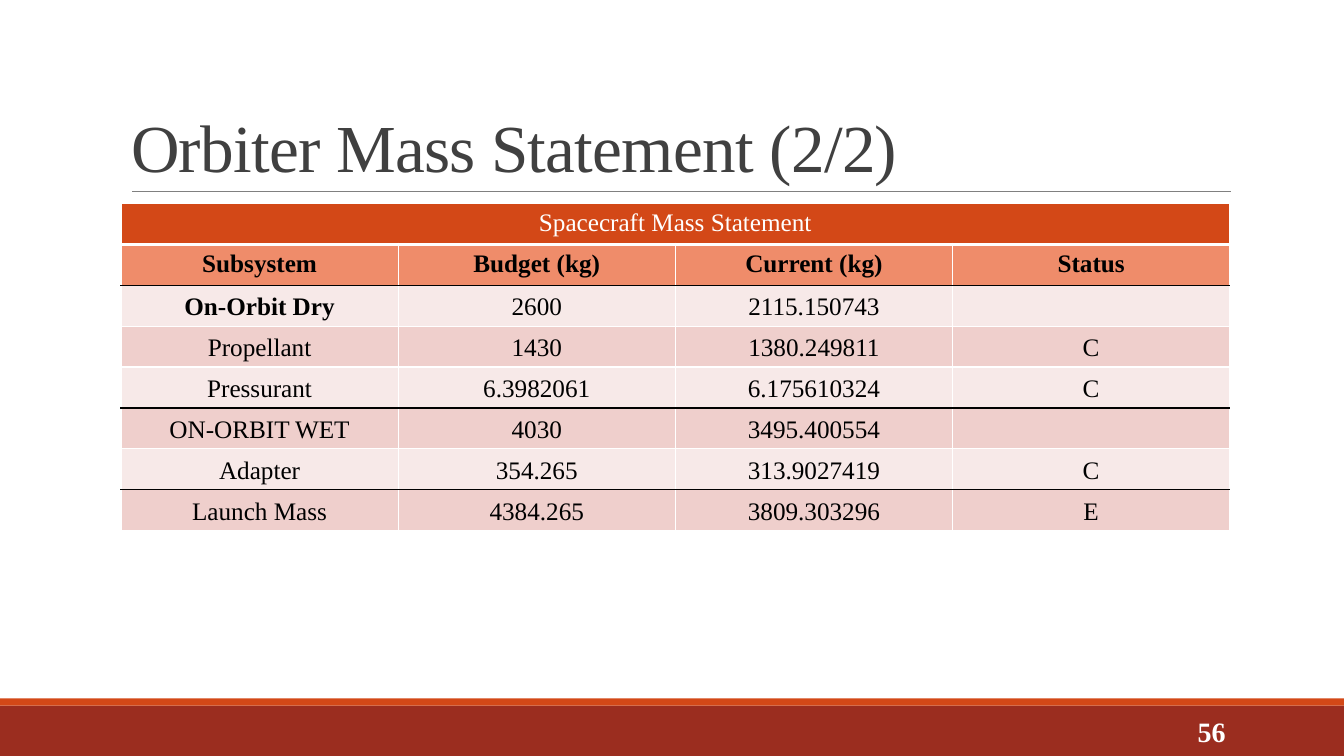
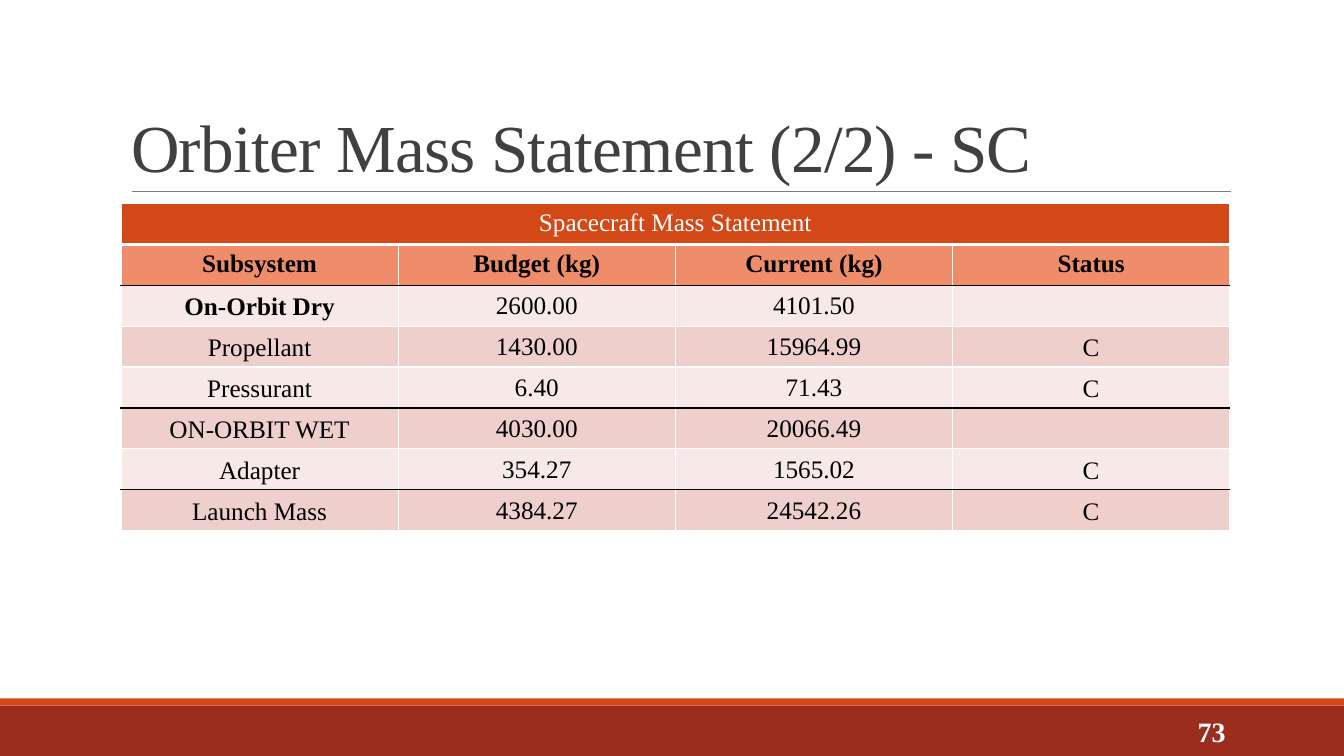
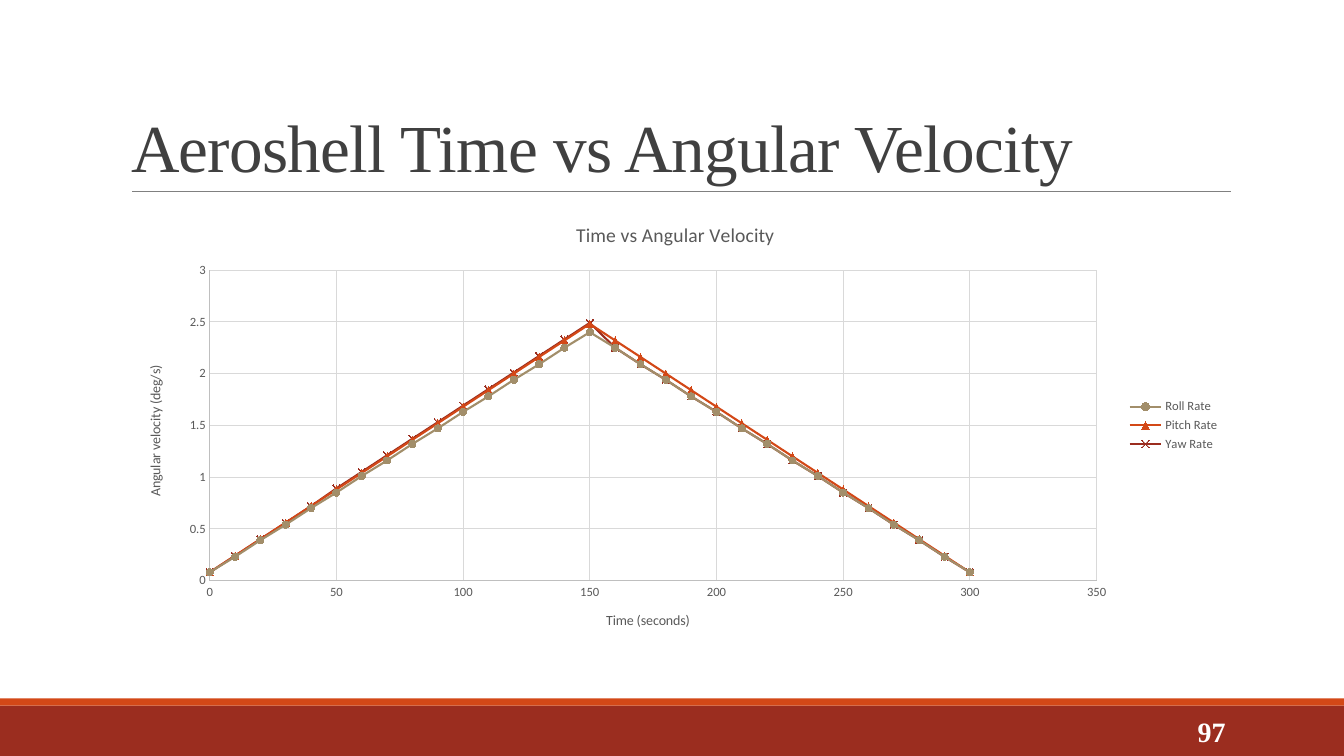
import dataclasses

import lxml.etree
import pptx
import pptx.chart.data
import pptx.dml.color
import pptx.enum.chart
import pptx.enum.shapes
import pptx.enum.text
import pptx.oxml
import pptx.oxml.ns
import pptx.util

Cm = pptx.util.Cm
Pt = pptx.util.Pt
ALIGN = pptx.enum.text.PP_ALIGN
ANCHOR = pptx.enum.text.MSO_ANCHOR
MARKER = pptx.enum.chart.XL_MARKER_STYLE
qn = pptx.oxml.ns.qn


@dataclasses.dataclass(frozen=True)
class Theme:
    serif: str = "Times New Roman"
    sans: str = "Calibri"
    white: str = "FFFFFF"
    black: str = "000000"
    orange: str = "D34817"
    brick: str = "9B2D1F"
    tan: str = "A28E6A"
    salmon: str = "EF8C6A"
    light_band: str = "F7E9E8"
    dark_band: str = "EFCFCC"
    title_ink: str = "404040"
    title_rule: str = "808080"
    chart_ink: str = "595959"
    axis: str = "BFBFBF"
    grid: str = "D9D9D9"
    title_size: float = 48
    number_size: float = 20
    table_size: float = 18
    chart_title_size: float = 14
    axis_title_size: float = 10
    label_size: float = 9


THEME = Theme()


def rgb(color):
    return pptx.dml.color.RGBColor.from_string(color)


def set_font(font, *, name, size, color, bold=False):
    font.name = name
    font.size = Pt(size)
    font.bold = bold
    font.color.rgb = rgb(color)


def write_text(frame, text, *, size, color, name=THEME.serif, bold=False,
               align=ALIGN.LEFT, line_spacing=None, tracking=None):
    para = frame.paragraphs[0]
    para.alignment = align
    if line_spacing:
        para.line_spacing = line_spacing
    span = para.add_run()
    span.text = text
    set_font(span.font, name=name, size=size, color=color, bold=bold)
    if tracking is not None:
        span.font._element.set("spc", str(round(tracking * 100)))


def set_line(line, color, width):
    line.color.rgb = rgb(color)
    line.width = Pt(width)


def set_borders(cell, **sides):
    properties = cell._tc.get_or_add_tcPr()
    for side in "LRTB":
        color, width = sides.get(side, (THEME.white, 1))
        line = lxml.etree.SubElement(properties, qn(f"a:ln{side}"), w=str(Pt(width)))
        fill = lxml.etree.SubElement(line, qn("a:solidFill"))
        lxml.etree.SubElement(fill, qn("a:srgbClr"), val=color)


class Slides:
    RULED_ROWS = (1, 4, 6)
    ROW_HEIGHT = 1.03
    LEFT = 3.05
    CONTENT_TOP = 5.13
    CONTENT_WIDTH = 27.94

    def __init__(self, theme):
        self.theme = theme
        self.deck = pptx.Presentation()
        self.deck.slide_width = Cm(33.87)
        self.deck.slide_height = Cm(19.05)
        self.layout = self.deck.slide_layouts.get_by_name("Title Only")
        self.page = None

    def band(self, top, height, color):
        box = self.page.shapes.add_shape(
            pptx.enum.shapes.MSO_SHAPE.RECTANGLE,
            0, Cm(top), self.deck.slide_width, Cm(height))
        box.shadow.inherit = False
        box.fill.solid()
        box.fill.fore_color.rgb = rgb(color)
        box.line.fill.background()
        return box

    def title_rule(self):
        rule = self.page.shapes.add_connector(
            pptx.enum.shapes.MSO_CONNECTOR.STRAIGHT,
            Cm(3.33), Cm(4.83), Cm(31.01), Cm(4.83))
        set_line(rule.line, self.theme.title_rule, 0.5)
        lxml.etree.SubElement(rule.element.spPr, qn("a:effectLst"))
        return rule

    def furnish_layout(self):
        shared = [self.band(17.78, 1.27, self.theme.brick),
                  self.band(17.6, 0.18, self.theme.orange),
                  self.title_rule()]
        for number, shape in enumerate(shared, 101):
            shape.element[0][0].set("id", str(number))
            self.layout.shapes.element.append(shape.element)

    def start(self, title, number):
        first = self.page is None
        self.page = self.deck.slides.add_slide(self.layout)
        if first:
            self.furnish_layout()
        self.title(title)
        self.page_number(number)

    def title(self, text):
        box = self.page.shapes.title
        box.left, box.top = Cm(self.LEFT), Cm(0.79)
        box.width, box.height = Cm(self.CONTENT_WIDTH), Cm(4.04)
        frame = box.text_frame
        frame.auto_size = pptx.enum.text.MSO_AUTO_SIZE.NONE
        frame.word_wrap = True
        frame.vertical_anchor = ANCHOR.BOTTOM
        write_text(frame, text, size=self.theme.title_size,
                   color=self.theme.title_ink, line_spacing=0.85, tracking=-0.5)

    def page_number(self, number):
        box = self.page.shapes.add_textbox(Cm(27.51), Cm(17.93), Cm(3.63), Cm(1.02))
        frame = box.text_frame
        frame.word_wrap = True
        frame.vertical_anchor = ANCHOR.MIDDLE
        write_text(frame, str(number), size=self.theme.number_size,
                   color=self.theme.white, bold=True, align=ALIGN.RIGHT)

    def mass_table(self, rows, number_anchor, number_bottom):
        theme = self.theme
        header = ("Subsystem", "Budget (kg)", "Current (kg)", "Status")
        grid = [("Spacecraft Mass Statement", "", "", ""), header, *rows]
        table = self.page.shapes.add_table(
            len(grid), len(header), Cm(self.LEFT), Cm(self.CONTENT_TOP),
            Cm(self.CONTENT_WIDTH), Cm(self.ROW_HEIGHT * len(grid))).table
        table.first_row = table.horz_banding = False
        table.cell(0, 0).merge(table.cell(0, len(header) - 1))
        fills = [theme.orange, theme.salmon]
        for row, texts in enumerate(grid):
            table.rows[row].height = Cm(self.ROW_HEIGHT)
            body_fill = theme.dark_band if row % 2 else theme.light_band
            borders = {}
            if row == 0:
                borders["B"] = (theme.white, 3)
            if row in self.RULED_ROWS:
                borders["B"] = (theme.black, 1)
            if row - 1 in self.RULED_ROWS:
                borders["T"] = (theme.black, 1)
            for column, text in enumerate(texts):
                cell = table.cell(row, column)
                set_borders(cell, **borders)
                cell.fill.solid()
                cell.fill.fore_color.rgb = rgb(fills[row] if row < 2 else body_fill)
                if not text:
                    continue
                if row >= 2:
                    numeric = column in (1, 2)
                    cell.vertical_anchor = number_anchor if numeric else ANCHOR.BOTTOM
                    cell.margin_left = cell.margin_right = cell.margin_top = Cm(0.03)
                    cell.margin_bottom = Cm(number_bottom if numeric else 0.13)
                write_text(cell.text_frame, text, size=theme.table_size,
                           color=theme.black if row else theme.white,
                           bold=row == 1 or text == "On-Orbit Dry",
                           align=ALIGN.CENTER)

    def chart_axis(self, axis, title, maximum, step):
        theme = self.theme
        axis.minimum_scale, axis.maximum_scale = 0, maximum
        axis.major_unit = step
        axis.major_tick_mark = axis.minor_tick_mark = pptx.enum.chart.XL_TICK_MARK.NONE
        axis.has_major_gridlines = True
        set_line(axis.major_gridlines.format.line, theme.grid, 0.75)
        set_line(axis.format.line, theme.axis, 0.75)
        axis.tick_labels.number_format = "General"
        axis.tick_labels.number_format_is_linked = False
        set_font(axis.tick_labels.font, name=theme.sans, size=theme.label_size,
                 color=theme.chart_ink)
        write_text(axis.axis_title.text_frame, title, name=theme.sans,
                   size=theme.axis_title_size, color=theme.chart_ink,
                   align=ALIGN.CENTER)

    def plot_area(self, chart, **fractions):
        area = chart._chartSpace.chart.plotArea
        for old in area.findall(qn("c:layout")):
            area.remove(old)
        layout = pptx.oxml.parse_xml(
            f'<c:layout {pptx.oxml.ns.nsdecls("c")}><c:manualLayout/></c:layout>')
        settings = {"layoutTarget": "inner", "xMode": "edge", "yMode": "edge", **fractions}
        for name, value in settings.items():
            lxml.etree.SubElement(layout[0], qn(f"c:{name}"), val=str(value))
        area.insert(0, layout)

    def scatter(self, title, x_title, y_title, times, series):
        theme = self.theme
        data = pptx.chart.data.XyChartData()
        for name, values, _, _ in series:
            points = data.add_series(name)
            for time, value in zip(times, values):
                points.add_data_point(time, value)
        chart = self.page.shapes.add_chart(
            pptx.enum.chart.XL_CHART_TYPE.XY_SCATTER_LINES,
            Cm(self.LEFT), Cm(self.CONTENT_TOP), Cm(self.CONTENT_WIDTH), Cm(11.18),
            data).chart
        set_font(chart.font, name=theme.sans, size=theme.axis_title_size,
                 color=theme.black)
        chart.has_title = True
        write_text(chart.chart_title.text_frame, title, name=theme.sans,
                   size=theme.chart_title_size, color=theme.chart_ink,
                   align=ALIGN.CENTER)
        self.chart_axis(chart.category_axis, x_title, 350, 50)
        self.chart_axis(chart.value_axis, y_title, 3, 0.5)
        chart.has_legend = True
        chart.legend.position = pptx.enum.chart.XL_LEGEND_POSITION.RIGHT
        chart.legend.include_in_layout = False
        set_font(chart.legend.font, name=theme.sans, size=theme.label_size,
                 color=theme.chart_ink)
        plot = chart.plots[0]
        plot.vary_by_categories = False
        for curve, (_, _, color, marker) in zip(plot.series, series):
            curve.smooth = False
            set_line(curve.format.line, color, 1.5)
            curve.marker.style = marker
            curve.marker.size = 5
            set_line(curve.marker.format.line, color, 0.75)
            if marker == MARKER.X:
                curve.marker.format.fill.background()
            else:
                curve.marker.format.fill.solid()
                curve.marker.format.fill.fore_color.rgb = rgb(color)
        self.plot_area(chart, x=0.08, y=0.15, w=0.8, h=0.7)


def main():
    slides = Slides(THEME)

    slides.start("Orbiter Mass Statement (2/2)", 56)
    slides.mass_table([
        ("On-Orbit Dry", "2600", "2115.150743", ""),
        ("Propellant", "1430", "1380.249811", "C"),
        ("Pressurant", "6.3982061", "6.175610324", "C"),
        ("ON-ORBIT WET", "4030", "3495.400554", ""),
        ("Adapter", "354.265", "313.9027419", "C"),
        ("Launch Mass", "4384.265", "3809.303296", "E"),
    ], ANCHOR.BOTTOM, 0.13)

    slides.start("Orbiter Mass Statement (2/2) - SC", 73)
    slides.mass_table([
        ("On-Orbit Dry", "2600.00", "4101.50", ""),
        ("Propellant", "1430.00", "15964.99", "C"),
        ("Pressurant", "6.40", "71.43", "C"),
        ("ON-ORBIT WET", "4030.00", "20066.49", ""),
        ("Adapter", "354.27", "1565.02", "C"),
        ("Launch Mass", "4384.27", "24542.26", "C"),
    ], ANCHOR.MIDDLE, 0)

    slides.start("Aeroshell Time vs Angular Velocity", 97)
    roll_rise = [0.08, 0.23, 0.39, 0.54, 0.7, 0.85, 1.01, 1.16,
                 1.32, 1.47, 1.63, 1.78, 1.94, 2.09, 2.25, 2.4]
    pitch_rise = [round(0.08 + 0.16 * step, 2) for step in range(16)]
    yaw_rise = [0.08, 0.24, 0.4, 0.56, 0.72, 0.89, 1.05, 1.21,
                1.37, 1.53, 1.69, 1.85, 2.01, 2.17, 2.33, 2.49]
    roll_fall = roll_rise[-2::-1]
    slides.scatter(
        "Time vs Angular Velocity", "Time (seconds)", "Angular velocity (deg/s)",
        range(0, 301, 10),
        [("Roll Rate", roll_rise + roll_fall, THEME.tan, MARKER.CIRCLE),
         ("Pitch Rate", pitch_rise + pitch_rise[-2::-1], THEME.orange, MARKER.TRIANGLE),
         ("Yaw Rate", yaw_rise + roll_fall, THEME.brick, MARKER.X)])

    slides.deck.save("out.pptx")


if __name__ == "__main__":
    main()
